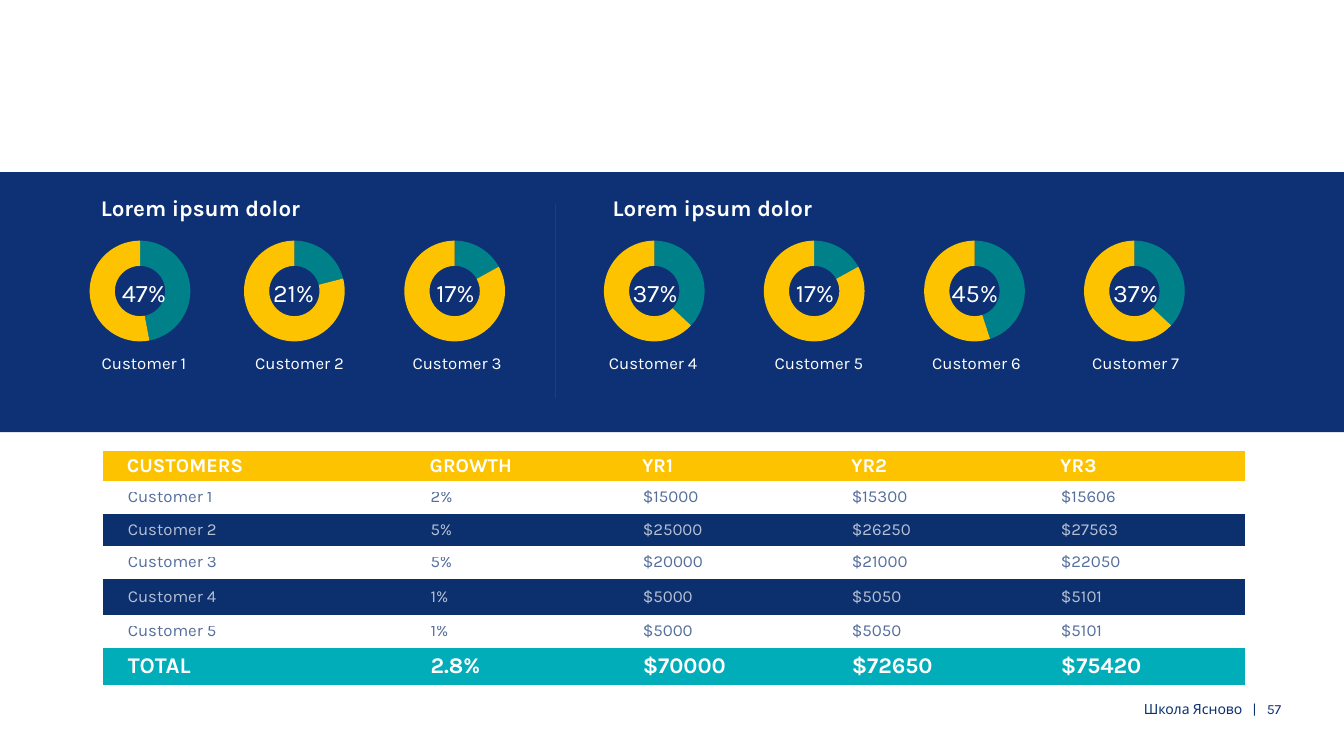
from pptx import Presentation, util as u
from pptx.chart import data
from pptx.dml import color
from pptx.enum import chart as charts, shapes, text
from pptx.oxml import parse_xml, ns

NAVY, ROW_NAVY, WHITE = "0D3174", "0C2F6E", "FFFFFF"
YELLOW, TEAL, AQUA, GREY = "FDC300", "00818A", "00ADB9", "CCCCCC"

HEADINGS = [2.29, 15.19]
# centre of ring, of share and of name
CUSTOMERS = [
    (47, 3.53, 3.63, 3.63),
    (21, 7.42, 7.4, 7.55),
    (17, 11.46, 11.48, 11.52),
    (37, 16.49, 16.51, 16.46),
    (17, 20.52, 20.54, 20.64),
    (45, 24.56, 24.57, 24.61),
    (37, 28.59, 28.62, 28.62),
]
COLUMN_WIDTHS = [7.63, 5.35, 5.27, 5.27, 5.27]
ROW_HEIGHTS = [0.76, 0.82, 0.82, 0.82, 0.91, 0.83, 0.93]
GROWTH = [
    ["CUSTOMERS", "GROWTH", "YR1", "YR2", "YR3"],
    ["Customer 1", "2%", "$15000", "$15300", "$15606"],
    ["Customer 2", "5%", "$25000", "$26250", "$27563"],
    ["Customer 3", "5%", "$20000", "$21000", "$22050"],
    ["Customer 4", "1%", "$5000", "$5050", "$5101"],
    ["Customer 5", "1%", "$5000", "$5050", "$5101"],
    ["TOTAL", "2.8%", "$70000", "$72650", "$75420"],
]
HEADER = dict(size=14, ink=WHITE, fill=YELLOW, bold=True, indent=0.61)
LIGHT = dict(size=12, ink=NAVY, alpha=70)
DARK = dict(size=12, ink=WHITE, fill=ROW_NAVY, alpha=70)
TOTAL = dict(size=16, ink=WHITE, fill=AQUA, bold=True)
ROW_STYLES = [HEADER, LIGHT, DARK, LIGHT, DARK, LIGHT, TOTAL]
NO_GRID = "{2D5ABB26-0587-4C30-8999-92F81FD0307C}"


def rgb(value):
    return color.RGBColor.from_string(value)


def fade(element, percent):
    for tint in element.iter(ns.qn("a:srgbClr")):
        alpha = tint.makeelement(ns.qn("a:alpha"), {"val": str(percent * 1000)})
        tint.append(alpha)


class Board:
    """Draws styled elements on one slide."""

    font = "Karla"

    def __init__(self, slide):
        self.slide = slide
        self.shapes = slide.shapes

    def style(self, paragraph, size, ink, bold=False):
        font = paragraph.font
        font.name, font.size, font.bold = self.font, u.Pt(size), bold
        font.color.rgb = rgb(ink)

    def band(self, left, top, width, height, fill):
        band = self.shapes.add_shape(
            shapes.MSO_SHAPE.RECTANGLE, *map(u.Cm, (left, top, width, height)))
        band.shadow.inherit = False
        band.fill.solid()
        band.fill.fore_color.rgb = rgb(fill)
        band.line.fill.background()

    def label(self, runs, left, top, width, height, size, ink=WHITE,
              align=text.PP_ALIGN.CENTER, bold=False, spacing=None):
        frame = self.shapes.add_textbox(
            *map(u.Cm, (left, top, width, height))).text_frame
        frame.word_wrap = True
        frame.margin_left = frame.margin_right = 0
        frame.margin_top = frame.margin_bottom = u.Cm(0.03)
        paragraph = frame.paragraphs[0]
        paragraph.alignment = align
        paragraph.line_spacing = spacing
        self.style(paragraph, size, ink, bold)
        for wording in runs:
            paragraph.add_run().text = wording
        return paragraph

    def ring(self, share, left, top, width, height, diameter):
        shares = data.CategoryChartData()
        shares.categories = ["1", "2"]
        shares.add_series("Series 1", [share, 100 - share])
        chart = self.shapes.add_chart(
            charts.XL_CHART_TYPE.DOUGHNUT,
            *map(u.Cm, (left, top, width, height)), shares).chart
        chart.has_title = chart.has_legend = False
        chart.font.name, chart.font.size = self.font, u.Pt(10)
        chart.font.color.rgb = rgb(WHITE)
        for index, tint in enumerate([TEAL, YELLOW]):
            slice_format = chart.plots[0].series[0].points[index].format
            slice_format.fill.solid()
            slice_format.fill.fore_color.rgb = rgb(tint)
            slice_format.line.fill.background()
        plot_area = chart.element.find(".//" + ns.qn("c:plotArea"))
        plot_area.find(".//" + ns.qn("c:holeSize")).set("val", "67")
        for layout in plot_area.findall(ns.qn("c:layout")):
            plot_area.remove(layout)
        w, h = diameter / width, diameter / height
        plot_area.insert(0, parse_xml(
            f'<c:layout {ns.nsdecls("c")}><c:manualLayout>'
            '<c:layoutTarget val="inner"/>'
            '<c:xMode val="edge"/><c:yMode val="edge"/>'
            f'<c:x val="{(1 - w) / 2:.3f}"/><c:y val="{(1 - h) / 2:.3f}"/>'
            f'<c:w val="{w:.3f}"/><c:h val="{h:.3f}"/>'
            '</c:manualLayout></c:layout>'))

    def divider(self, x, top, bottom):
        divider = self.shapes.add_connector(
            shapes.MSO_CONNECTOR.STRAIGHT, *map(u.Cm, (x, top, x, bottom)))
        divider.line.width = u.Pt(0.25)
        divider.line.color.rgb = rgb(GREY)
        properties = divider.line._get_or_add_ln().getparent()
        fade(properties, 25)
        properties.append(parse_xml(f'<a:effectLst {ns.nsdecls("a")}/>'))

    def cell(self, cell, wording, size, ink, fill=None, bold=False,
             alpha=None, indent=0.63):
        cell.margin_left = u.Cm(indent)
        cell.margin_right = cell.margin_top = cell.margin_bottom = 0
        cell.vertical_anchor = text.MSO_ANCHOR.MIDDLE
        if fill:
            cell.fill.solid()
            cell.fill.fore_color.rgb = rgb(fill)
        else:
            cell.fill.background()
        cell.text = wording
        paragraph = cell.text_frame.paragraphs[0]
        self.style(paragraph, size, ink, bold)
        if alpha:
            fade(paragraph._p, alpha)

    def table(self, rows, left, top, widths, heights, styles):
        frame = self.shapes.add_table(
            len(rows), len(widths),
            *map(u.Cm, (left, top, sum(widths), sum(heights))))
        table = frame.table
        table.first_row = table.horz_banding = False
        table._tbl.find(".//" + ns.qn("a:tableStyleId")).text = NO_GRID
        for column, width in zip(table.columns, widths):
            column.width = u.Cm(width)
        for row, height, wordings, style in zip(table.rows, heights, rows, styles):
            row.height = u.Cm(height)
            for cell, wording in zip(row.cells, wordings):
                self.cell(cell, wording, **style)


def main():
    deck = Presentation()
    deck.slide_width, deck.slide_height = u.Cm(33.87), u.Cm(19.05)
    board = Board(deck.slides.add_slide(deck.slide_layouts[6]))

    board.band(0, 4.34, 33.87, 6.55, NAVY)
    footer = board.label(["Школа Ясново", " |", " 57"], 25.58, 17.62, 6.71, 1,
                         10, NAVY, text.PP_ALIGN.RIGHT)
    footer.runs[1].font._element.set("spc", "500")

    for left in HEADINGS:
        board.label(["Lorem ipsum dolor"], left + 0.25, 4.95, 10, 0.8, 16,
                    align=text.PP_ALIGN.LEFT, bold=True, spacing=0.9)
    for number, (share, ring, value, name) in enumerate(CUSTOMERS, 1):
        board.ring(share, ring - 2.05, 5.72, 4.1, 3.23, 2.54)
        board.label([f"{share}%"], value - 1.25, 6.96, 2.5, 0.8, 18)
        board.label([f"Customer {number}"], name - 1.5, 8.86, 3, 0.56, 12)
    board.divider(14, 5.13, 10.03)
    board.table(GROWTH, 2.59, 11.36, COLUMN_WIDTHS, ROW_HEIGHTS, ROW_STYLES)

    deck.save("out.pptx")


if __name__ == "__main__":
    main()
